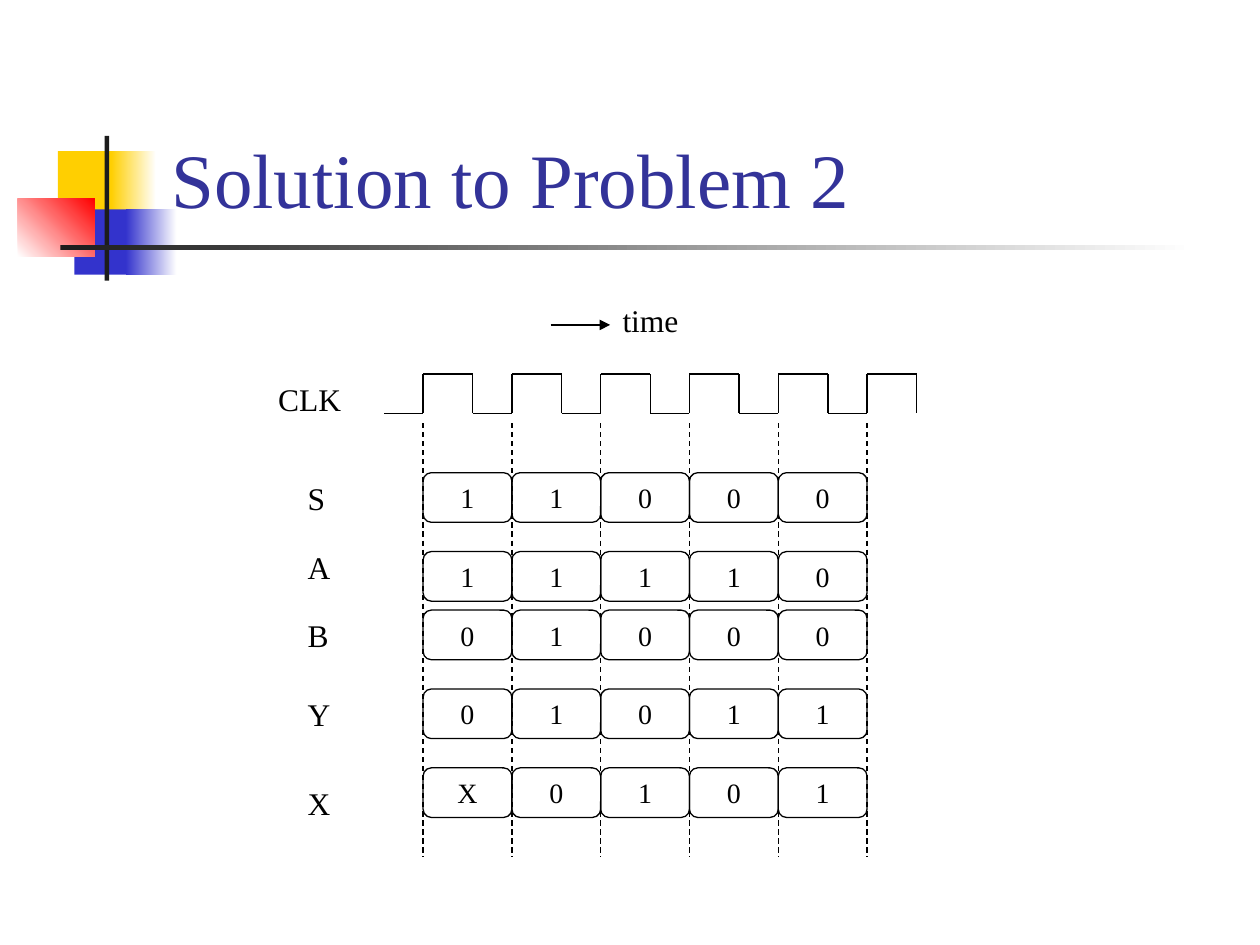
from itertools import pairwise

from lxml.etree import SubElement
from pptx import Presentation
from pptx.dml.color import RGBColor as RGB
from pptx.enum.dml import MSO_LINE as Dash
from pptx.enum.shapes import MSO_CONNECTOR as Conn, MSO_SHAPE as Kind
from pptx.enum.text import MSO_ANCHOR as Anchor, MSO_AUTO_SIZE as Auto, PP_ALIGN as Align
from pptx.oxml.ns import qn
from pptx.util import Cm, Pt

FONT = "Times New Roman"
COLORS = {
    "black": "000000", "white": "FFFFFF", "ink": "1C1C1C", "title": "333399",
    "yellow": "FFCF01", "blue": "3333CC", "red": "FF0000",
}
STEP = 1.79  # one clock period
EDGES = [8.53 + STEP * i for i in range(6)]
LOW, HIGH, PULSE = 8.33, 7.54, 1.0

# name, label left, label width, label top, row top, values
ROWS = [
    ("S", 0.86, 9.53, 9.53, "11000"),
    ("A", 0.97, 10.92, 11.12, "11110"),
    ("B", 0.94, 12.3, 12.3, "01000"),
    ("Y", 0.97, 13.89, 13.89, "01011"),
    ("X", 0.97, 15.68, 15.48, "X0101"),
]

# left, top, width, height, colours, angle
DECOR = [
    (1.17, 3.05, 1.22, 1.32, ["yellow"], 0),
    (2.24, 3.05, 0.91, 1.32, ["yellow", "white"], 0),
    (1.5, 4.22, 1.17, 1.32, ["blue"], 0),
    (2.54, 4.22, 1.02, 1.32, ["blue", "white"], 0),
    (0.36, 4.01, 1.55, 1.17, ["white", "red"], 45),
    (2.11, 2.74, 0.09, 2.92, ["ink"], 0),
    (1.22, 4.94, 22.86, 0.1, ["ink", "white"], 0),
]


def color(name):
    return RGB.from_string(COLORS[name])


def style(frame, size, tint="black"):
    for run in frame.paragraphs[0].runs:
        run.font.name = FONT
        run.font.size = Pt(size)
        run.font.color.rgb = color(tint)


def add_block(slide, x, y, w, h, tints, angle):
    """Add a borderless rectangle, plain or with a gradient."""
    block = slide.shapes.add_shape(Kind.RECTANGLE, Cm(x), Cm(y), Cm(w), Cm(h))
    block.shadow.inherit = False
    block.line.fill.background()
    if len(tints) == 1:
        block.fill.solid()
        block.fill.fore_color.rgb = color(tints[0])
        return
    block.fill.gradient()
    block.fill.gradient_angle = angle
    for stop, tint in zip(block.fill.gradient_stops, tints):
        stop.color.rgb = color(tint)


def add_title(slide, text):
    title = slide.shapes.title
    title.left, title.top, title.width, title.height = Cm(3.2), Cm(0.58), Cm(21.64), Cm(4.06)
    frame = title.text_frame
    frame.text = text
    frame.vertical_anchor = Anchor.BOTTOM
    frame.paragraphs[0].alignment = Align.LEFT
    style(frame, 44, "title")


def add_label(slide, text, x, y, w):
    frame = slide.shapes.add_textbox(Cm(x), Cm(y), Cm(w), Cm(1.02)).text_frame
    frame.word_wrap = False
    frame.auto_size = Auto.SHAPE_TO_FIT_TEXT
    frame.text = text
    style(frame, 18)


def add_line(slide, start, end, dashed=False, arrow=False):
    ends = [Cm(v) for v in (*start, *end)]
    line = slide.shapes.add_connector(Conn.STRAIGHT, *ends)
    line.line.color.rgb = color("black")
    line.line.width = Pt(0.75)
    if dashed:
        line.line.dash_style = Dash.DASH
    if arrow:
        SubElement(line.line._get_or_add_ln(), qn("a:tailEnd"), type="triangle")
    SubElement(line._element.spPr, qn("a:effectLst"))


def add_cell(slide, text, x, y):
    cell = slide.shapes.add_shape(Kind.ROUNDED_RECTANGLE, Cm(x), Cm(y), Cm(STEP), Cm(1))
    cell.shadow.inherit = False
    cell.fill.background()
    cell.line.color.rgb = color("black")
    cell.line.width = Pt(0.75)
    frame = cell.text_frame
    frame.text = text
    frame.vertical_anchor = Anchor.MIDDLE
    frame.paragraphs[0].alignment = Align.CENTER
    style(frame, 16)


def add_clock(slide):
    add_label(slide, "CLK", 5.36, HIGH, 1.8)
    points = [(7.75, LOW)]
    for x in EDGES:
        points += [(x, LOW), (x, HIGH), (x + PULSE, HIGH), (x + PULSE, LOW)]
    for start, end in pairwise(points):
        add_line(slide, start, end)


def main():
    deck = Presentation()
    deck.slide_width, deck.slide_height = Cm(25.4), Cm(19.05)
    slide = deck.slides.add_slide(deck.slide_layouts[5])
    for block in DECOR:
        add_block(slide, *block)
    add_title(slide, "Solution to Problem 2")
    add_line(slide, (11.1, 6.55), (12.3, 6.55), arrow=True)
    add_label(slide, "time", 12.3, 5.95, 1.65)
    add_clock(slide)
    for x in EDGES:
        add_line(slide, (x, 8.53), (x, 17.27), dashed=True)
    for name, width, label_top, top, values in ROWS:
        add_label(slide, name, 5.95, label_top, width)
        for x, value in zip(EDGES, values):
            add_cell(slide, value, x, top)
    deck.save("out.pptx")


if __name__ == "__main__":
    main()
